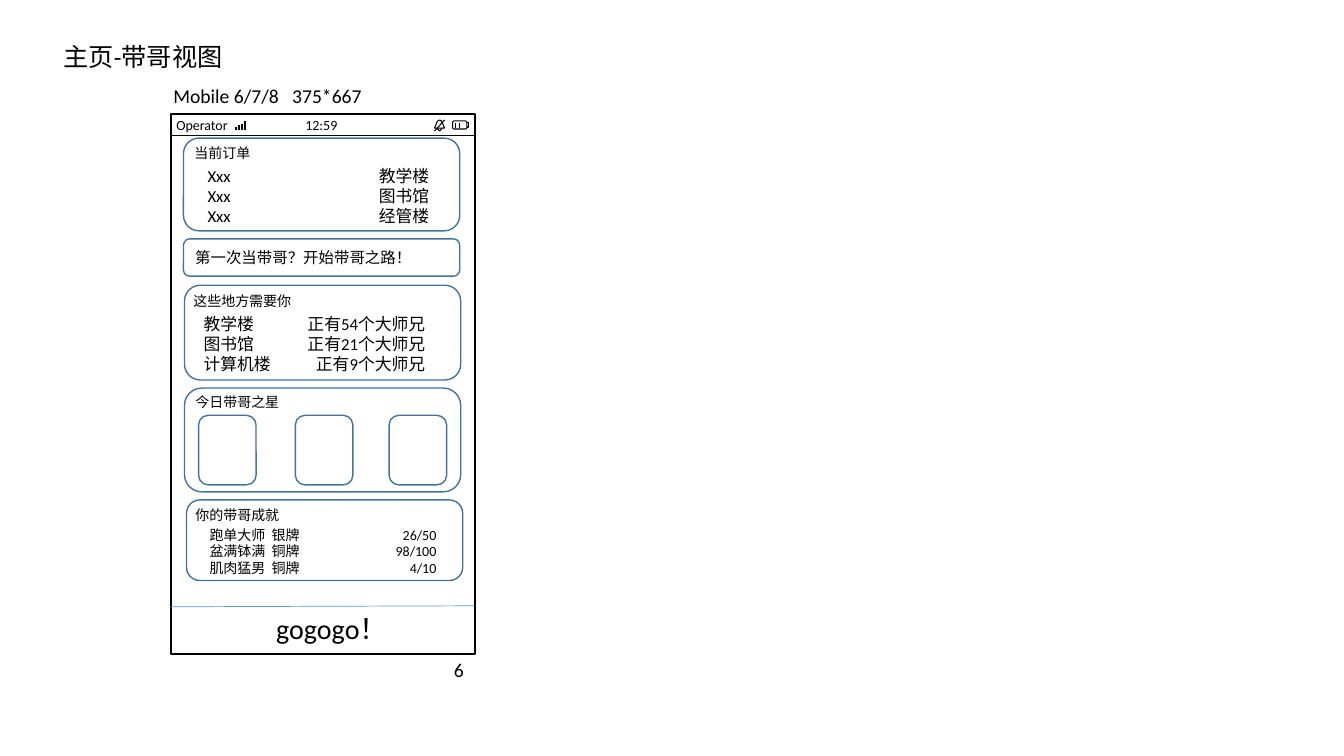
from dataclasses import dataclass
from lxml.etree import SubElement
from pptx import Presentation
from pptx.dml.color import RGBColor
from pptx.enum.shapes import MSO_CONNECTOR, MSO_SHAPE
from pptx.enum.text import MSO_ANCHOR, MSO_AUTO_SIZE, PP_ALIGN
from pptx.oxml.ns import qn
from pptx.util import Inches, Pt


@dataclass
class Theme:
    font: str = "Calibri"
    ink: RGBColor = RGBColor(0, 0, 0)
    paper: RGBColor = RGBColor(255, 255, 255)
    edge: RGBColor = RGBColor(0x43, 0x73, 0x9E)
    rule: RGBColor = RGBColor(0x5B, 0x9B, 0xD5)
    title: int = 18
    button: int = 20
    label: int = 14
    body: int = 12
    prompt: int = 11
    small: int = 10


theme = Theme()
deck = Presentation()
deck.slide_width, deck.slide_height = Inches(13.33), Inches(7.5)
slide = deck.slides.add_slide(deck.slide_layouts[5])
shapes = slide.shapes


def write(shape, text, size, align=PP_ALIGN.LEFT, anchor=MSO_ANCHOR.TOP, tab=None):
    frame = shape.text_frame
    frame.text = text
    frame.word_wrap = True
    frame.auto_size = MSO_AUTO_SIZE.NONE
    frame.vertical_anchor = anchor
    for para in frame.paragraphs:
        para.alignment = align
        para.line_spacing = 1.0
        para.font.name = theme.font
        para.font.size = Pt(size)
        para.font.color.rgb = theme.ink
        if tab:
            props = para._p.get_or_add_pPr()
            stops = props.makeelement(qn("a:tabLst"), {})
            SubElement(stops, qn("a:tab"), pos=str(Inches(tab)), algn="r")
            props.find(qn("a:defRPr")).addprevious(stops)


def style(shape, color, width, fill=None):
    shape.shadow.inherit = False
    shape.line.color.rgb = color
    shape.line.width = Pt(width)
    if fill is None:
        shape.fill.background()
    else:
        shape.fill.solid()
        shape.fill.fore_color.rgb = fill


title = shapes.title
title.left, title.top, title.width, title.height = map(Inches, (0.53, 0.36, 3.24, 0.4))
write(title, "主页-带哥视图", theme.title)

phone = shapes.add_shape(MSO_SHAPE.RECTANGLE, *map(Inches, (1.7, 1.13, 3.01, 5.36)))
style(phone, theme.ink, 1.5)

cell = shapes.add_shape(MSO_SHAPE.ROUNDED_RECTANGLE, *map(Inches, (4.49, 1.2, 0.14, 0.08)))
style(cell, theme.ink, 0.75)

outlines = [
    ([(4.63, 1.22), (4.65, 1.22), (4.65, 1.26), (4.63, 1.26)], False),
    ([(4.31, 1.27), (4.32, 1.25), (4.33, 1.22), (4.34, 1.2), (4.36, 1.19),
      (4.38, 1.2), (4.39, 1.22), (4.4, 1.25), (4.41, 1.27)], True),
    ([(4.34, 1.27), (4.34, 1.28), (4.36, 1.3), (4.38, 1.28), (4.38, 1.27)], False),
]
for points, close in outlines:
    start, *rest = [(Inches(x), Inches(y)) for x, y in points]
    pen = shapes.build_freeform(*start)
    pen.add_line_segments(rest, close=close)
    style(pen.convert_to_shape(), theme.ink, 0.75)

lines = [
    (4.41, 1.19, 4.31, 1.3, theme.ink, 0.75),
    (1.69, 1.34, 4.7, 1.34, theme.ink, 0.75),
    (1.69, 6.02, 4.7, 6.01, theme.rule, 0.5),
]
lines += [(x, 1.22, x, 1.27, theme.ink, 0.75) for x in (4.52, 4.56)]
lines += [(2.34 + 0.03 * i, top, 2.34 + 0.03 * i, 1.29, theme.ink, 1)
          for i, top in enumerate((1.26, 1.24, 1.23, 1.2))]
for x1, y1, x2, y2, color, width in lines:
    line = shapes.add_connector(MSO_CONNECTOR.STRAIGHT, *map(Inches, (x1, y1, x2, y2)))
    line.line.color.rgb = color
    line.line.width = Pt(width)
    SubElement(line._element.spPr, qn("a:effectLst"))

cards = [
    (1.82, 1.37, 2.74, 0.92, ""),
    (1.82, 2.37, 2.74, 0.37, "第一次当带哥？开始带哥之路！"),
    (1.83, 2.83, 2.74, 0.94, ""),
    (1.83, 3.85, 2.74, 1.03, ""),
    (1.85, 4.96, 2.74, 0.8, ""),
]
cards += [(x, 4.12, 0.57, 0.69, "") for x in (1.97, 2.93, 3.86)]
for *place, prompt in cards:
    card = shapes.add_shape(MSO_SHAPE.ROUNDED_RECTANGLE, *map(Inches, place))
    style(card, theme.edge, 1, theme.paper)
    if prompt:
        write(card, prompt, theme.prompt, anchor=MSO_ANCHOR.MIDDLE)

texts = [
    (1.62, 0.78, 2.52, 0.34, "Mobile 6/7/8\u00a0\u00a0 375*667", theme.label),
    (1.65, 1.11, 0.99, 0.27, "Operator", theme.small),
    (2.93, 1.11, 0.54, 0.27, "12:59", theme.small),
    (1.83, 1.38, 0.88, 0.27, "当前订单", theme.small),
    (1.82, 2.85, 1.22, 0.27, "这些地方需要你", theme.small),
    (1.84, 3.85, 1.22, 0.27, "今日带哥之星", theme.small),
    (1.84, 4.98, 1.22, 0.27, "你的带哥成就", theme.small),
    (2.64, 6.02, 1.65, 0.44, "gogogo！", theme.button),
]
for *place, text, size in texts:
    write(shapes.add_textbox(*map(Inches, place)), text, size)

number = shapes.add_textbox(*map(Inches, (3.04, 6.48, 1.66, 0.34)))
write(number, "6", theme.label, PP_ALIGN.RIGHT)

lists = [
    (1.96, 1.59, 2.42, 0.71, theme.body, 2.2,
     [("Xxx", "教学楼"), ("Xxx", "图书馆"), ("Xxx", "经管楼")]),
    (1.92, 3.06, 2.42, 0.71, theme.body, 2.2,
     [("教学楼", "正有54个大师兄"), ("图书馆", "正有21个大师兄"), ("计算机楼", "正有9个大师兄")]),
    (1.98, 5.17, 2.47, 0.61, theme.small, 2.25,
     [("跑单大师  银牌", "26/50"), ("盆满钵满  铜牌", "98/100"), ("肌肉猛男  铜牌", "4/10")]),
]
for *place, size, tab, rows in lists:
    text = "\n".join("\t".join(row) for row in rows)
    write(shapes.add_textbox(*map(Inches, place)), text, size, tab=tab)

deck.save("out.pptx")
